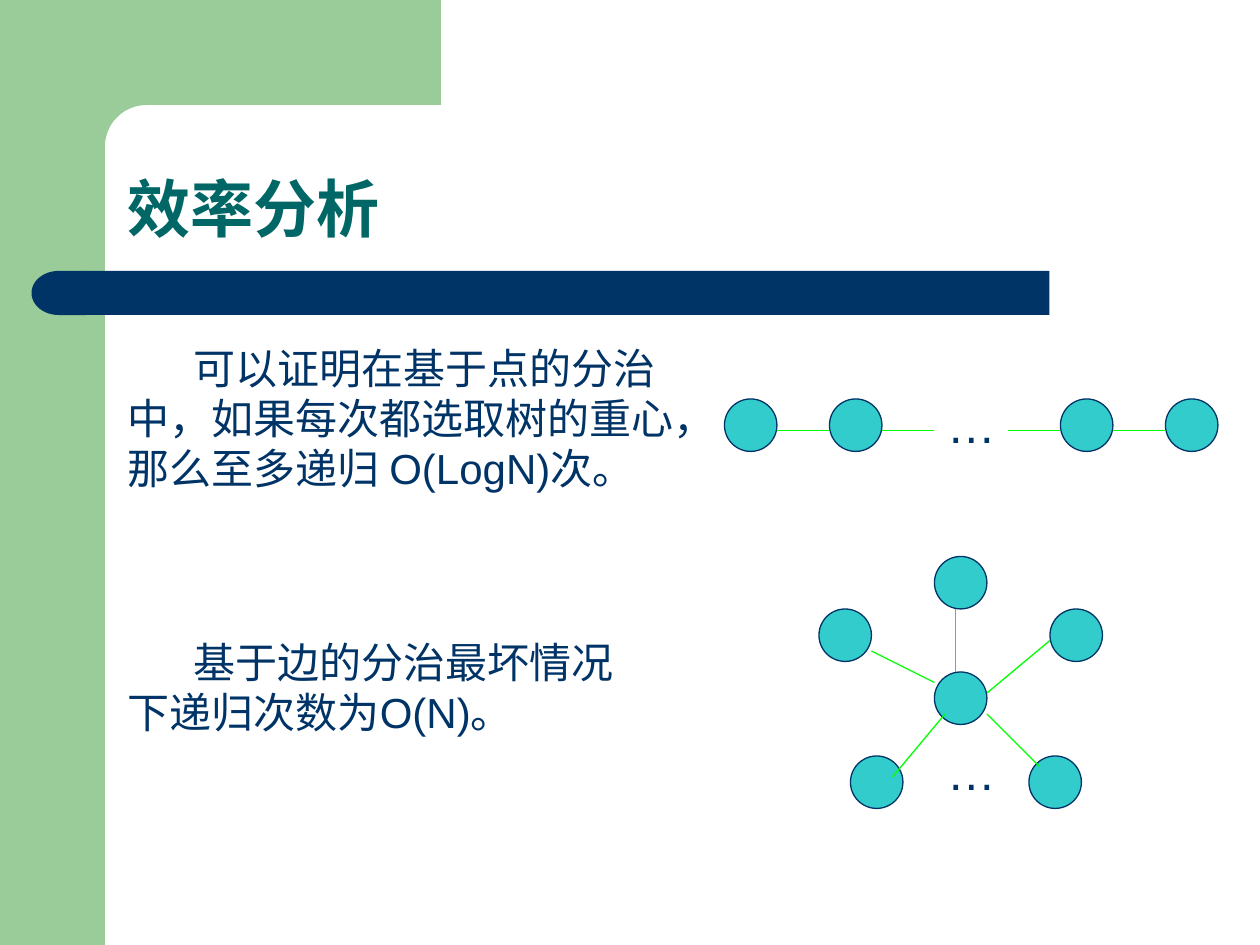
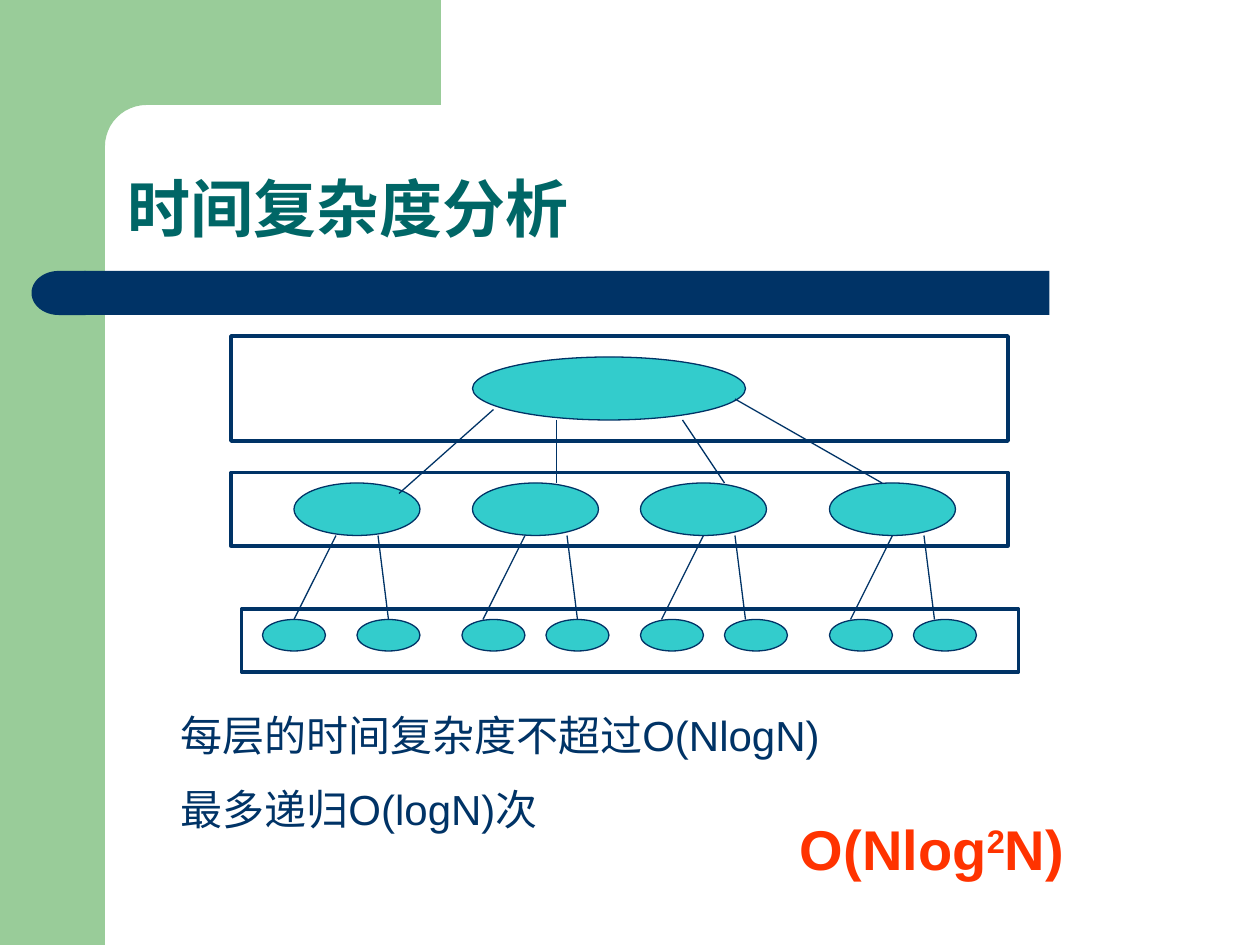
"""Build two slides on the efficiency of divide and conquer on trees."""
from math import cos, pi, sin

from lxml.etree import SubElement
from pptx import Presentation
from pptx.dml.color import RGBColor
from pptx.enum.shapes import MSO_CONNECTOR, MSO_SHAPE
from pptx.enum.text import MSO_ANCHOR, MSO_AUTO_SIZE, PP_ALIGN
from pptx.oxml.ns import qn
from pptx.util import Inches, Pt

FONT = "Arial"
NAVY, TEAL, CYAN = "003366", "006666", "33CCCC"
LEAF_GREEN, EDGE_GREEN, RED = "99CC99", "00FF00", "FF3300"
NODE = 0.42
GRID = 12


def rgb(value):
    return RGBColor.from_string(value)


def snap(*lengths):
    return [round(length * GRID) / GRID for length in lengths]


class Deck:
    def __init__(self):
        self.presentation = Presentation()
        self.presentation.slide_width = Inches(10)
        self.presentation.slide_height = Inches(7.5)
        self.layout = self.presentation.slide_layouts[5]
        self.slide = None

    def new_slide(self, heading):
        first = self.slide is None
        self.slide = self.presentation.slides.add_slide(self.layout)
        if first:
            self.decorate_layout()
        title = self.slide.shapes.title
        self.place(title, 0.91, 0.91, 8.51, 1.09)
        frame = title.text_frame
        frame.auto_size = MSO_AUTO_SIZE.NONE
        frame.vertical_anchor = MSO_ANCHOR.BOTTOM
        paragraph = frame.paragraphs[0]
        paragraph.alignment = PP_ALIGN.LEFT
        paragraph.line_spacing = 0.9
        self.run(paragraph, heading, 36, TEAL, True)

    def decorate_layout(self):
        inner, radius, steps = 10 / GRID, 0.33, 12
        side_band = self.shape(MSO_SHAPE.RECTANGLE, 0, 0, inner, 7.5, LEAF_GREEN)
        curve = [(inner + radius * (1 - sin(pi / 2 * step / steps)),
                  inner + radius * (1 - cos(pi / 2 * step / steps)))
                 for step in range(steps + 1)]
        corner = self.outline([(0.5, 0), (3.5, 0), (3.5, inner), *curve,
                               (inner, 1.28), (0.5, 1.28)], LEAF_GREEN)
        bar = self.shape(MSO_SHAPE.RECTANGLE, 0.67, 2.15, 7.66, 0.35, NAVY)
        bar_end = self.shape(MSO_SHAPE.FLOWCHART_DELAY, 0.25, 2.15, 0.43, 0.35, NAVY)
        bar_end.rotation = 180
        for index, band in enumerate((side_band, corner, bar, bar_end)):
            band.element.xpath(".//p:cNvPr")[0].set("id", str(100 + index))
            self.layout.shapes.element.insert(2 + index, band.element)

    def place(self, shape, left, top, width, height):
        shape.left, shape.top = Inches(left), Inches(top)
        shape.width, shape.height = Inches(width), Inches(height)

    def style(self, shape, fill=None, line=None, weight=0.75):
        shape.shadow.inherit = False
        if fill:
            shape.fill.solid()
            shape.fill.fore_color.rgb = rgb(fill)
        else:
            shape.fill.background()
        if line:
            shape.line.color.rgb = rgb(line)
            shape.line.width = Pt(weight)
        else:
            shape.line.fill.background()
        return shape

    def shape(self, kind, left, top, width, height, fill=None, line=None, weight=0.75):
        shape = self.slide.shapes.add_shape(
            kind, Inches(left), Inches(top), Inches(width), Inches(height))
        return self.style(shape, fill, line, weight)

    def outline(self, points, fill):
        start, *rest = [(Inches(x), Inches(y)) for x, y in points]
        builder = self.slide.shapes.build_freeform(*start)
        builder.add_line_segments(rest, close=True)
        return self.style(builder.convert_to_shape(), fill)

    def node(self, left, top, width=NODE, height=NODE):
        self.shape(MSO_SHAPE.OVAL, *snap(left, top, width, height), CYAN, NAVY)

    def level(self, left, top, width, height):
        self.shape(MSO_SHAPE.RECTANGLE, *snap(left, top, width, height),
                   line=NAVY, weight=2)

    def edge(self, x1, y1, x2, y2, color=NAVY):
        ends = [Inches(length) for length in snap(x1, y1, x2, y2)]
        line = self.slide.shapes.add_connector(MSO_CONNECTOR.STRAIGHT, *ends)
        line.line.color.rgb = rgb(color)
        line.line.width = Pt(0.75)
        SubElement(line.element.spPr, qn("a:effectLst"))

    def run(self, paragraph, text, size, color, bold=False, baseline=0):
        run = paragraph.add_run()
        run.text = text
        run.font.name = FONT
        run.font.size = Pt(size)
        run.font.bold = bold
        run.font.color.rgb = rgb(color)
        if baseline:
            run._r.get_or_add_rPr().set("baseline", str(baseline * 1000))

    def text(self, left, top, width, height, *parts, size=24, color=NAVY,
             bold=False, indent=0):
        left, top = snap(left, top)
        box = self.slide.shapes.add_textbox(
            Inches(left), Inches(top), Inches(width), Inches(height))
        frame = box.text_frame
        frame.word_wrap = True
        frame.auto_size = MSO_AUTO_SIZE.SHAPE_TO_FIT_TEXT
        paragraph = frame.paragraphs[0]
        if indent:
            paragraph._p.get_or_add_pPr().set("indent", str(Inches(indent)))
        for part, baseline in parts:
            self.run(paragraph, part, size, color, bold, baseline)

    def ellipsis(self, left, top):
        self.text(left, top, 0.67, 0.57, ("…", 0), size=28)


def efficiency_slide(deck):
    deck.new_slide("效率分析")
    deck.text(0.92, 2.67, 4.62, 1.3,
              ("可以证明在基于点的分治中，如果每次都选取树的重心，那么至多递归 O(LogN)次。", 0),
              indent=0.52)
    for left in (5.75, 6.58, 8.42, 9.25):
        deck.node(left, 3.17)
    for start in (6.17, 7, 8, 8.83):
        deck.edge(start, 3.42, start + NODE, 3.42, EDGE_GREEN)
    deck.ellipsis(7.42, 3.08)

    deck.text(0.92, 5, 4.17, 0.9, ("基于边的分治最坏情况下递归次数为O(N)。", 0), indent=0.52)
    star_center = (7.42, 5.33)
    star_tips = [(6.5, 4.83), (7.42, 4.42), (8.33, 4.83), (6.75, 6), (8.17, 6)]
    for left, top in [star_center, *star_tips]:
        deck.node(left, top)
    for spoke in ((7.58, 5.33, 7.58, 4.83), (7.42, 5.42, 6.92, 5.17),
                  (7.83, 5.5, 8.33, 5.08), (7.5, 5.67, 7.08, 6.17),
                  (7.83, 5.67, 8.25, 6.08)):
        deck.edge(*spoke, EDGE_GREEN)
    deck.ellipsis(7.42, 5.83)


def complexity_slide(deck):
    deck.new_slide("时间复杂度分析")
    deck.node(3.75, 2.83, 2.17, 0.5)
    branches = {
        2.33: ((2.08, 2.67, 2.33), (2.83, 3, 3.08)),
        3.75: ((3.67, 4.17, 3.83), (4.33, 4.5, 4.58)),
        5.08: ((5.08, 5.58, 5.25), (5.75, 5.83, 5.92)),
        6.58: ((6.58, 7.08, 6.75), (7.25, 7.33, 7.42)),
    }
    for subtree, leaves in branches.items():
        deck.node(subtree, 3.83, 1, 0.42)
        for leaf, edge_start, edge_end in leaves:
            deck.node(leaf, 4.92, 0.5, 0.25)
            deck.edge(edge_start, 4.25, edge_end, 4.92)
    for root_edge in ((3.92, 3.25, 3.17, 3.92), (4.42, 3.33, 4.42, 3.83),
                      (5.42, 3.33, 5.75, 3.83), (5.83, 3.17, 7, 3.83)):
        deck.edge(*root_edge)
    for left, top, height in ((1.83, 2.67, 0.83), (1.83, 3.75, 0.58), (1.92, 4.83, 0.5)):
        deck.level(left, top, 6.17, height)

    deck.text(1.33, 5.58, 7.83, 0.5, ("每层的时间复杂度不超过O(NlogN)", 0))
    deck.text(1.33, 6.17, 8.25, 0.5, ("最多递归O(logN)次", 0))
    deck.text(6.25, 6.42, 3.75, 0.64, ("O(Nlog", 0), ("2", 30), ("N)", 0),
              size=32, color=RED, bold=True)


def main():
    deck = Deck()
    efficiency_slide(deck)
    complexity_slide(deck)
    deck.presentation.save("out.pptx")


if __name__ == "__main__":
    main()
